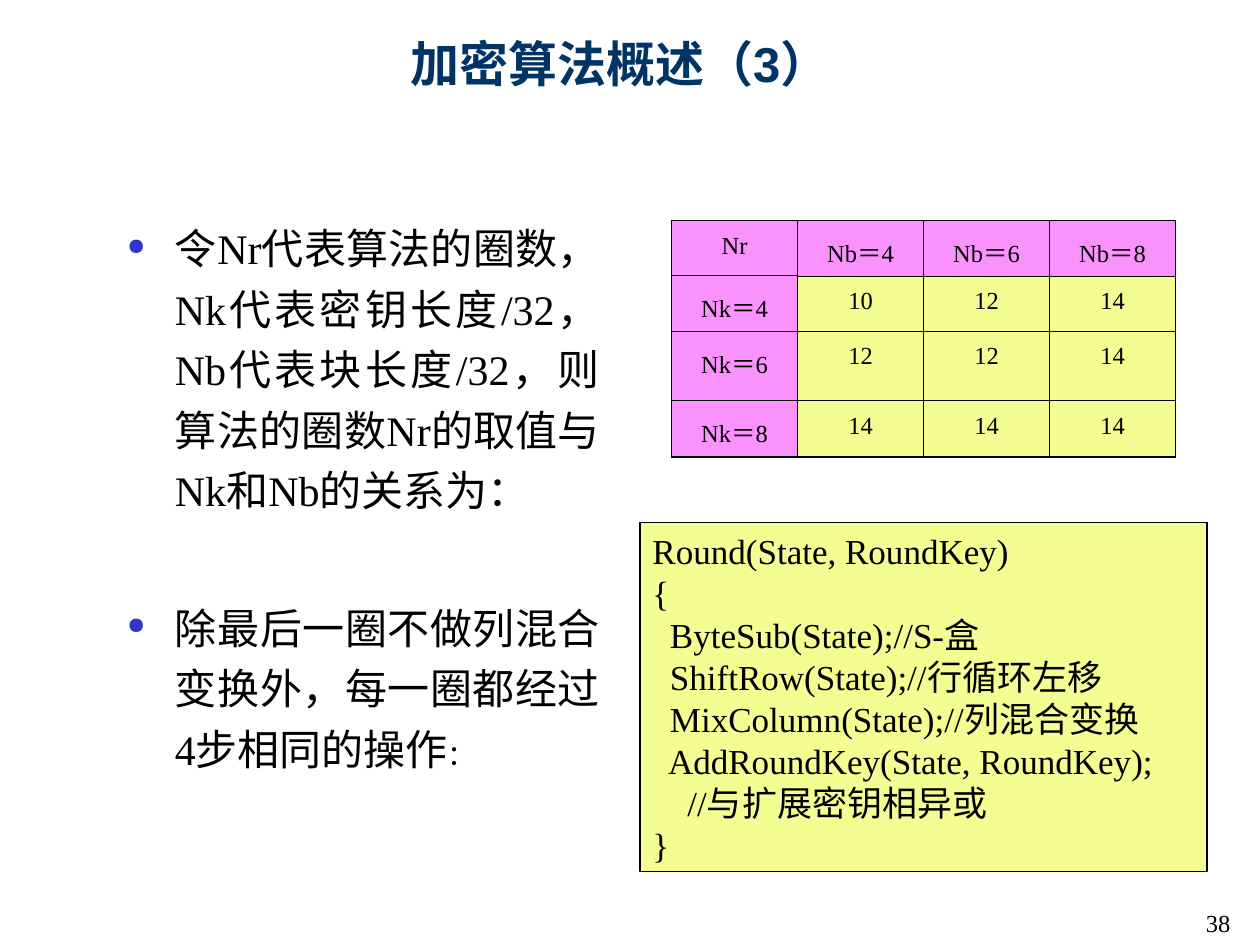
from lxml import etree
from pptx import Presentation
from pptx.dml.color import RGBColor
from pptx.enum.shapes import MSO_SHAPE
from pptx.enum.text import MSO_ANCHOR, MSO_AUTO_SIZE, PP_ALIGN
from pptx.oxml import parse_xml
from pptx.oxml.ns import nsdecls, qn
from pptx.util import Inches, Pt

RECT = MSO_SHAPE.RECTANGLE
TOP, MIDDLE = MSO_ANCHOR.TOP, MSO_ANCHOR.MIDDLE
LEFT, CENTER, JUSTIFY = PP_ALIGN.LEFT, PP_ALIGN.CENTER, PP_ALIGN.JUSTIFY
BLACK = RGBColor(0x00, 0x00, 0x00)
NAVY = RGBColor(0x00, 0x33, 0x66)
BLUE = RGBColor(0x33, 0x33, 0xCC)
PINK = RGBColor(0xF9, 0x92, 0xFC)
YELLOW = RGBColor(0xF3, 0xFD, 0x91)
SERIF, SANS = "Times New Roman", "Arial"
THIN, MID, THICK = 0.45, 0.75, 1.08

TITLE = "加密算法概述（3）"
PAGE = "38"
# Each point: space before, then runs of (text, size)
POINTS = [
    (0, [("令Nr代表算法的圈数，Nk代表密钥长度/32，Nb代表块长度/32，"
          "则算法的圈数Nr的取值与Nk和Nb的关系为：", 24)]),
    (44, [("除最后一圈不做列混合变换外，每一圈都经过4步相同的操作", 24), ("：", 16)]),
]
ROUNDS = [
    ["Nr", "Nb＝4", "Nb＝6", "Nb＝8"],
    ["Nk＝4", "10", "12", "14"],
    ["Nk＝6", "12", "12", "14"],
    ["Nk＝8", "14", "14", "14"],
]
HEIGHTS = [0.44, 0.44, 0.55, 0.45]
CODE = [
    "Round(State, RoundKey)",
    "{",
    "  ByteSub(State);//S-盒",
    "  ShiftRow(State);//行循环左移",
    "  MixColumn(State);//列混合变换",
    "  AddRoundKey(State, RoundKey);",
    "    //与扩展密钥相异或",
    "}",
]


def box(*sides):
    return [Inches(side) for side in sides]


def add_run(para, text, size, color=BLACK, name=SERIF):
    run = para.add_run()
    run.text = text
    run.font.size = Pt(size)
    run.font.color.rgb = color
    run.font.name = name
    return run


def add_title(slide):
    title = slide.shapes.title
    title.left, title.top, title.width, title.height = box(0.67, 0.21, 8.5, 0.58)
    frame = title.text_frame
    frame.auto_size = MSO_AUTO_SIZE.NONE
    frame.vertical_anchor = MIDDLE
    para = frame.paragraphs[0]
    para.alignment = CENTER
    run = add_run(para, TITLE, 28, NAVY, SANS)
    run.font.bold = True
    shade = parse_xml(
        f'<a:effectLst {nsdecls("a")}><a:outerShdw dist="17961" dir="2700000">'
        '<a:srgbClr val="C0C0C0"/></a:outerShdw></a:effectLst>')
    run.font._element.find(qn("a:solidFill")).addnext(shade)


def add_bullet(para):
    props = para._p.get_or_add_pPr()
    props.set("marL", str(Inches(0.38)))
    props.set("indent", str(-Inches(0.38)))
    color = etree.SubElement(props, qn("a:buClr"))
    etree.SubElement(color, qn("a:srgbClr"), val=str(BLUE))
    etree.SubElement(props, qn("a:buSzPct"), val="55000")
    etree.SubElement(props, qn("a:buChar"), char="●")


def add_points(slide):
    frame = slide.shapes.add_textbox(*box(0.91, 1.64, 3.95, 5.04)).text_frame
    frame.word_wrap = True
    for i, (gap, runs) in enumerate(POINTS):
        para = frame.add_paragraph() if i else frame.paragraphs[0]
        add_bullet(para)
        para.alignment = JUSTIFY
        para.line_spacing = 1.2
        if gap:
            para.space_before = Pt(gap)
        for text, size in runs:
            add_run(para, text, size)


def set_edges(cell, widths):
    """Draw black borders; widths are left, right, top, bottom in points."""
    props = cell._tc.get_or_add_tcPr()
    for i, (side, width) in enumerate(zip("LRTB", widths)):
        line = parse_xml(
            f'<a:ln{side} {nsdecls("a")} w="{Pt(width)}"><a:solidFill>'
            f'<a:srgbClr val="{BLACK}"/></a:solidFill></a:ln{side}>')
        props.insert(i, line)


def edge_widths(row, col):
    if row == 0:
        return [MID] * 4 if col == 0 else [MID if col == 1 else THIN, THIN, THIN, THIN]
    last = len(ROUNDS) - 1
    return [THICK if col == 0 else THIN,
            THICK if col == last else THIN,
            MID if (row, col) == (1, 0) else THIN,
            THICK if row == last else THIN]


def add_rounds(slide):
    count = len(ROUNDS)
    area = box(5.33, 1.75, 4, sum(HEIGHTS))
    table = slide.shapes.add_table(count, count, *area).table
    for r, texts in enumerate(ROUNDS):
        table.rows[r].height = Inches(HEIGHTS[r])
        for c, text in enumerate(texts):
            cell = table.cell(r, c)
            cell.fill.solid()
            cell.fill.fore_color.rgb = YELLOW if r and c else PINK
            set_edges(cell, edge_widths(r, c))
            para = cell.text_frame.paragraphs[0]
            para.alignment = CENTER
            para.line_spacing = 1.2
            add_run(para, text, 14)


def add_code(slide):
    shape = slide.shapes.add_shape(RECT, *box(5.08, 4.15, 4.5, 2.77))
    shape.shadow.inherit = False
    shape.fill.solid()
    shape.fill.fore_color.rgb = YELLOW
    shape.line.color.rgb = BLACK
    shape.line.width = Pt(MID)
    frame = shape.text_frame
    frame.word_wrap = True
    frame.vertical_anchor = TOP
    for i, text in enumerate(CODE):
        para = frame.add_paragraph() if i else frame.paragraphs[0]
        para.alignment = LEFT
        add_run(para, text, 20)


def add_page(slide):
    frame = slide.shapes.add_textbox(*box(9.57, 7.21, 0.33, 0.23)).text_frame
    frame.margin_left = frame.margin_right = frame.margin_top = frame.margin_bottom = 0
    frame.word_wrap = True
    add_run(frame.paragraphs[0], PAGE, 14)


def main():
    deck = Presentation()
    deck.slide_width, deck.slide_height = box(10, 7.5)
    slide = deck.slides.add_slide(deck.slide_layouts[5])
    for add in (add_title, add_points, add_rounds, add_code, add_page):
        add(slide)
    deck.save("out.pptx")


if __name__ == "__main__":
    main()
